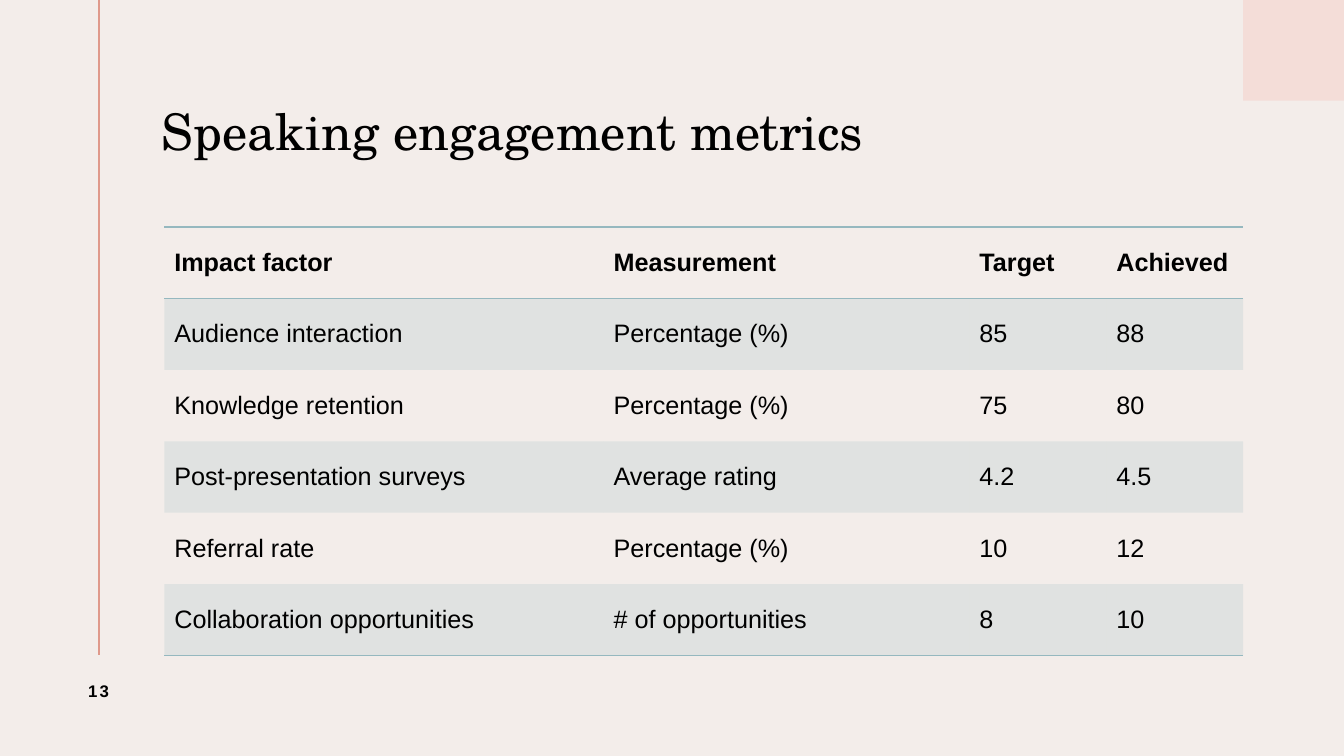
"""Build the slide that lists speaking engagement metrics."""
from typing import Any, NamedTuple

from lxml.etree import SubElement
from pptx import Presentation
from pptx.dml.color import RGBColor
from pptx.enum.shapes import MSO_CONNECTOR, MSO_SHAPE
from pptx.enum.text import MSO_ANCHOR, PP_ALIGN
from pptx.oxml.ns import qn
from pptx.util import Cm, Pt

SAND = RGBColor(0xF3, 0xED, 0xEA)
PINK = RGBColor(0xF4, 0xDD, 0xD8)
CORAL = RGBColor(0xDF, 0x99, 0x8B)
TEAL = RGBColor(0x95, 0xB8, 0xBF)
BLACK = RGBColor(0, 0, 0)
PLAIN_STYLE = "{2D5ABB26-0587-4C30-8999-92F81FD0307C}"


class Label(NamedTuple):
    text: str
    box: tuple[float, float, float, float]
    font: dict[str, Any]
    frame: dict[str, Any]
    para: dict[str, Any]
    track: int = 0


class Metric(NamedTuple):
    factor: str
    measure: str
    target: str
    result: str


LABELS = [
    Label("Speaking engagement metrics", (4.08, 1.4, 27.25, 3.96),
          {"name": "TeX Gyre Schola", "size": Pt(36)},
          {"margin_left": 0}, {"line_spacing": 0.9}),
    Label("13", (1.14, 16.51, 2.69, 1.8),
          {"name": "Arial", "size": Pt(12), "bold": True},
          {}, {"alignment": PP_ALIGN.CENTER}, 150),
]
METRICS = [
    Metric("Impact factor", "Measurement", "Target", "Achieved"),
    Metric("Audience interaction", "Percentage (%)", "85", "88"),
    Metric("Knowledge retention", "Percentage (%)", "75", "80"),
    Metric("Post-presentation surveys", "Average rating", "4.2", "4.5"),
    Metric("Referral rate", "Percentage (%)", "10", "12"),
    Metric("Collaboration opportunities", "# of opportunities", "8", "10"),
]
WIDTHS = (11.07, 9.22, 3.45, 3.45)
HEIGHT = 1.8


def apply(item: Any, values: dict[str, Any]) -> None:
    """Set each named value on the item."""
    for name, value in values.items():
        setattr(item, name, value)


def draw_label(slide: Any, label: Label) -> None:
    """Draw one text box."""
    frame = slide.shapes.add_textbox(*map(Cm, label.box)).text_frame
    apply(frame, {"word_wrap": True, "vertical_anchor": MSO_ANCHOR.MIDDLE,
                  **label.frame})
    para = frame.paragraphs[0]
    apply(para, label.para)
    run = para.add_run()
    run.text = label.text
    apply(run.font, label.font)
    run.font.color.rgb = BLACK
    if label.track:
        run.font._element.set("spc", str(label.track))


def draw_border(cell: Any, side: str) -> None:
    """Draw a thin teal line on one side of a cell."""
    line = SubElement(cell._tc.get_or_add_tcPr(), qn(f"a:{side}"), w=str(Pt(1)))
    fill = SubElement(line, qn("a:solidFill"))
    SubElement(fill, qn("a:srgbClr"), val=str(TEAL))


def shade(cell: Any) -> None:
    """Fill a cell with pale, see-through teal."""
    cell.fill.solid()
    cell.fill.fore_color.rgb = TEAL
    for color in cell._tc.tcPr.find(qn("a:solidFill")):
        SubElement(color, qn("a:alpha"), val="20000")


def draw_cell(cell: Any, text: str, row: int) -> None:
    """Write and style one cell of the given row."""
    cell.vertical_anchor = MSO_ANCHOR.MIDDLE
    run = cell.text_frame.paragraphs[0].add_run()
    run.text = text
    apply(run.font, {"name": "Arial", "size": Pt(18), "bold": row == 0})
    run.font.color.rgb = BLACK
    if row == 0:
        draw_border(cell, "lnT")
    if row in (0, len(METRICS) - 1):
        draw_border(cell, "lnB")
    if row % 2:
        shade(cell)
    else:
        cell.fill.background()


def draw_table(slide: Any) -> None:
    """Draw the table of metrics."""
    holder = slide.shapes.add_table(
        len(METRICS), len(WIDTHS), Cm(4.14), Cm(5.72),
        Cm(sum(WIDTHS)), Cm(HEIGHT * len(METRICS)))
    table = holder.table
    for style in table._tbl.iter(qn("a:tableStyleId")):
        style.text = PLAIN_STYLE
    apply(table, {"first_row": False, "horz_banding": False})
    for column, width in zip(table.columns, WIDTHS):
        column.width = Cm(width)
    for index, metric in enumerate(METRICS):
        table.rows[index].height = Cm(HEIGHT)
        for cell, text in zip(table.rows[index].cells, metric):
            draw_cell(cell, text, index)


def draw_decor(slide: Any) -> None:
    """Draw the corner square and the margin line."""
    square = slide.shapes.add_shape(
        MSO_SHAPE.RECTANGLE, Cm(31.33), 0, Cm(2.54), Cm(2.54))
    square.shadow.inherit = False
    square.fill.solid()
    square.fill.fore_color.rgb = PINK
    square.line.fill.background()
    margin = slide.shapes.add_connector(
        MSO_CONNECTOR.STRAIGHT, Cm(2.49), 0, Cm(2.49), Cm(16.51))
    margin.line.color.rgb = CORAL
    margin.line.width = Pt(1.5)
    SubElement(margin._element.spPr, qn("a:effectLst"))


def main() -> None:
    """Build and save the deck."""
    deck = Presentation()
    apply(deck, {"slide_width": Cm(33.87), "slide_height": Cm(19.05)})
    slide = deck.slides.add_slide(deck.slide_layouts[6])
    slide.background.fill.solid()
    slide.background.fill.fore_color.rgb = SAND
    draw_decor(slide)
    draw_table(slide)
    for label in LABELS:
        draw_label(slide, label)
    deck.save("out.pptx")


if __name__ == "__main__":
    main()
